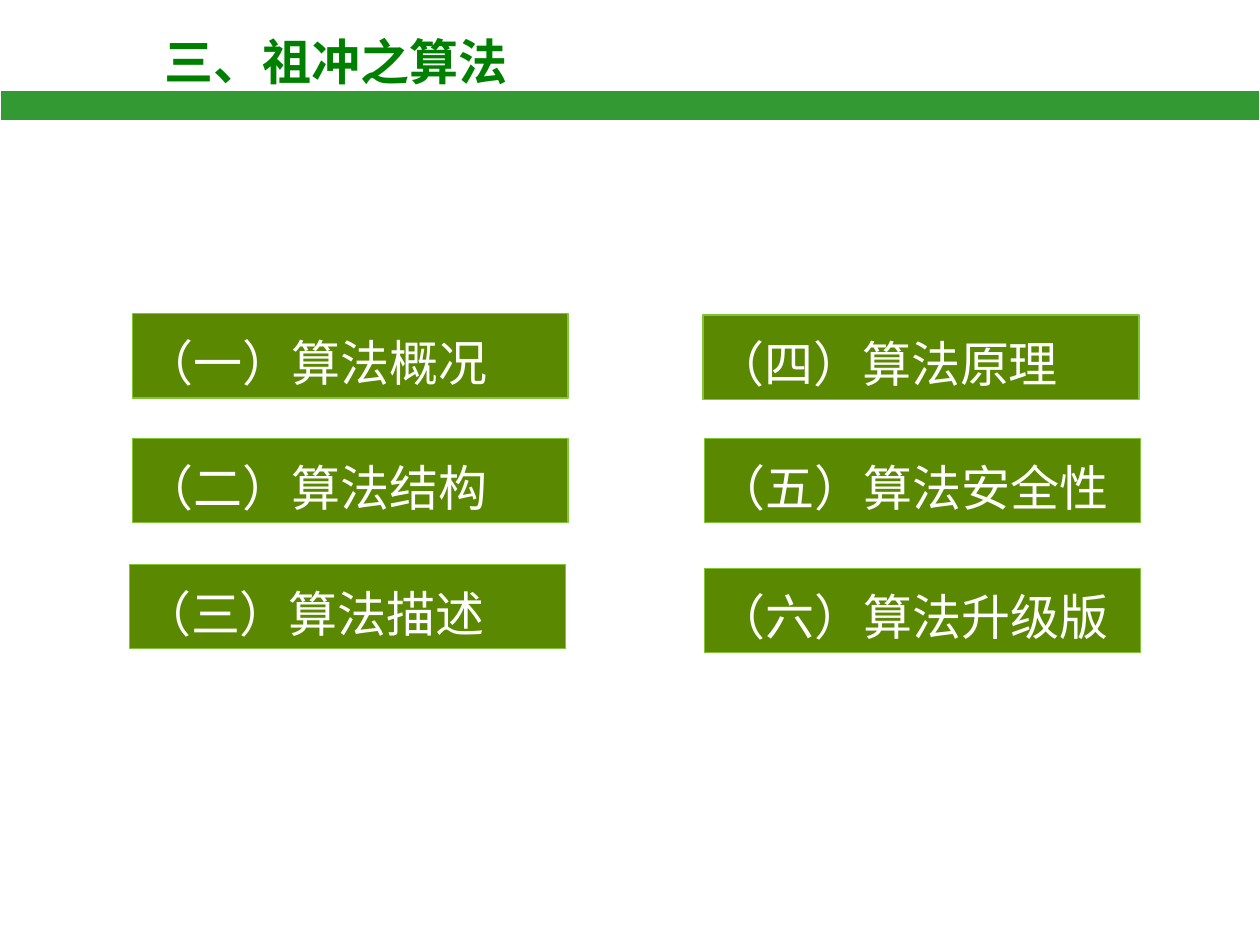
from pptx import Presentation
from pptx.dml.color import RGBColor
from pptx.enum.shapes import MSO_SHAPE as Shape
from pptx.enum.text import MSO_ANCHOR as Anchor, PP_ALIGN as Align
from pptx.util import Inches, Pt

WHITE = RGBColor(0xFF, 0xFF, 0xFF)
TITLE_GREEN = RGBColor(0x00, 0x80, 0x00)
BAND_GREEN = RGBColor(0x33, 0x99, 0x33)
BOX_GREEN = RGBColor(0x5A, 0x88, 0x00)
EDGE_GREEN = RGBColor(0x80, 0xC5, 0x35)


def add_box(left, top, width, height, fill, edge):
    shape = slide.shapes.add_shape(
        Shape.RECTANGLE, Inches(left), Inches(top), Inches(width), Inches(height))
    shape.shadow.inherit = False
    shape.fill.solid()
    shape.fill.fore_color.rgb = fill
    shape.line.color.rgb = edge
    shape.line.width = Pt(0.75)
    return shape


def write_line(shape, text, color, font_format):
    paragraph = shape.text_frame.paragraphs[0]
    paragraph.alignment = Align.LEFT
    run = paragraph.add_run()
    run.text = text
    run.font.color.rgb = color
    for name, value in font_format.items():
        setattr(run.font, name, value)
    return paragraph


presentation = Presentation()
presentation.slide_width = Inches(10)
presentation.slide_height = Inches(7.5)
slide = presentation.slides.add_slide(presentation.slide_layouts[6])

# Title and the band below it
title = slide.shapes.add_textbox(Inches(1.21), Inches(0.2), Inches(4.47), Inches(0.57))
title.text_frame.word_wrap = True
write_line(title, "三、祖冲之算法", TITLE_GREEN,
           {"name": "Noto Sans CJK SC", "size": Pt(28), "bold": True})
add_box(0, 0.72, 10, 0.24, BAND_GREEN, WHITE)

# Two columns of topics: left, top, text
topics = [
    (1.05, 2.49, "（一）算法概况"),
    (1.05, 3.48, "（二）算法结构"),
    (1.03, 4.48, "（三）算法描述"),
    (5.58, 2.5, "（四）算法原理"),
    (5.59, 3.48, "（五）算法安全性"),
    (5.59, 4.51, "（六）算法升级版"),
]
for left, top, text in topics:
    topic = add_box(left, top, 3.46, 0.67, BOX_GREEN, EDGE_GREEN)
    topic.text_frame.word_wrap = True
    topic.text_frame.vertical_anchor = Anchor.MIDDLE
    paragraph = write_line(topic, text, WHITE,
                           {"name": "Times New Roman", "size": Pt(28)})
    paragraph.line_spacing = 1.2

presentation.save("out.pptx")
